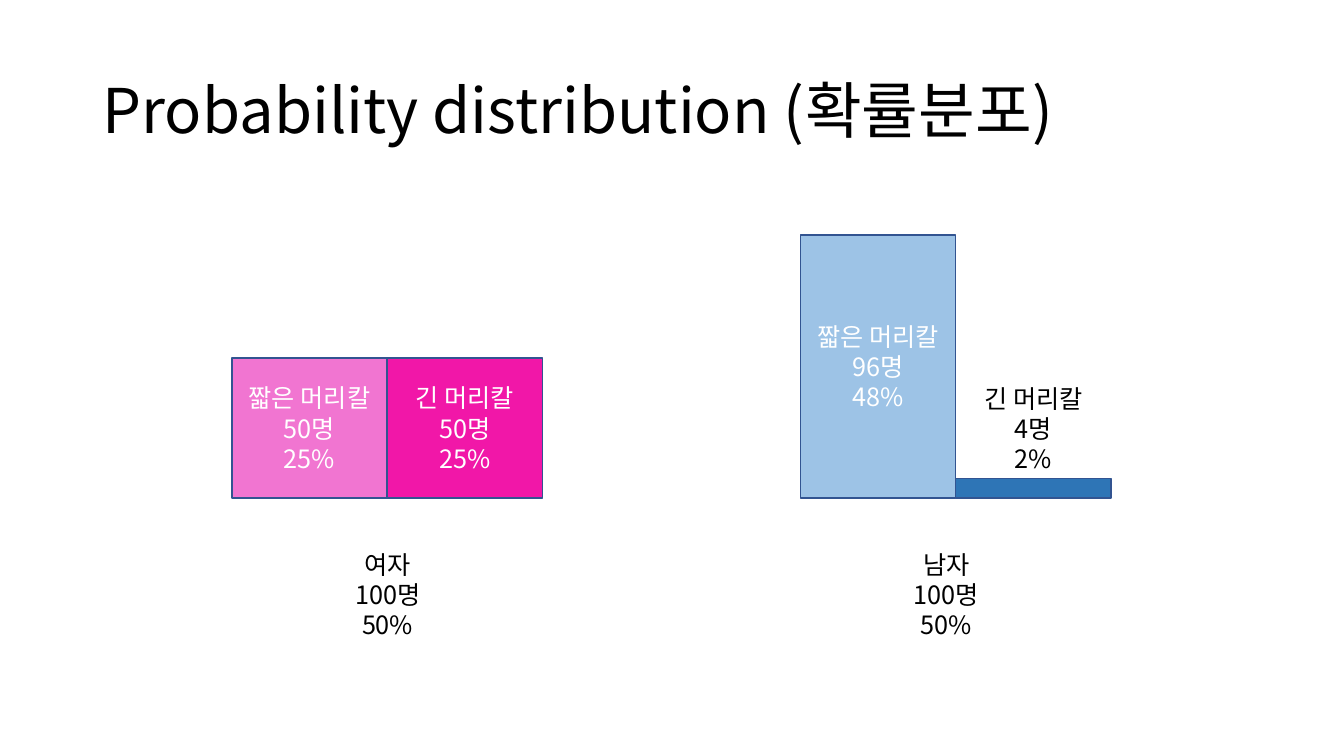
from lxml.etree import SubElement
from pptx import Presentation
from pptx.dml.color import RGBColor
from pptx.enum.shapes import MSO_SHAPE
from pptx.enum.text import MSO_ANCHOR, PP_ALIGN
from pptx.oxml.ns import qn
from pptx.util import Inches, Pt

FONT = "Noto Sans CJK KR"
COLORS = {
    "black": "000000", "white": "FFFFFF", "edge": "325491",
    "pink": "F175D1", "rose": "F117A8", "sky": "9DC3E6", "blue": "2E75B6",
}
BASE = 4.94
WIDTH = 1.54


def write(shape, text, color, size=18, align=PP_ALIGN.CENTER, anchor=MSO_ANCHOR.MIDDLE):
    frame = shape.text_frame
    frame.text = text
    frame.word_wrap = True
    frame.vertical_anchor = anchor
    for para in frame.paragraphs:
        para.alignment = align
        for run in para.runs:
            run.font.size = Pt(size)
            run.font.name = FONT
            run.font.color.rgb = RGBColor.from_string(COLORS[color])
            # Hangul takes its font from the East Asian slot
            SubElement(run._r.get_or_add_rPr(), qn("a:ea")).set("typeface", FONT)


deck = Presentation()
deck.slide_width, deck.slide_height = Inches(13.33), Inches(7.5)
slide = deck.slides.add_slide(deck.slide_layouts[6])
shapes = slide.shapes

title = shapes.add_textbox(Inches(0.92), Inches(0.4), Inches(11.5), Inches(1.45))
write(title, "Probability distribution (확률분포)", "black", 44, PP_ALIGN.LEFT)
title.text_frame.paragraphs[0].line_spacing = 0.9

# Each pair of bars: left edge, then height, fill and text of each bar
pairs = [
    (2.3, [(1.39, "pink", "짧은 머리칼\n50명\n25%"), (1.39, "rose", "긴 머리칼\n50명\n25%")]),
    (7.94, [(2.61, "sky", "짧은 머리칼\n96명\n48%"), (0.19, "blue", "")]),
]
for left, bars in pairs:
    for i, (height, fill, text) in enumerate(bars):
        bar = shapes.add_shape(
            MSO_SHAPE.RECTANGLE, Inches(left + i * WIDTH), Inches(BASE - height),
            Inches(WIDTH), Inches(height))
        bar.shadow.inherit = False
        bar.fill.solid()
        bar.fill.fore_color.rgb = RGBColor.from_string(COLORS[fill])
        bar.line.color.rgb = RGBColor.from_string(COLORS["edge"])
        bar.line.width = Pt(1)
        write(bar, text, "white")

labels = [
    (9.48, 3.75, WIDTH, "긴 머리칼\n4명\n2%"),
    (3.26, 5.4, 1.17, "여자\n100명\n50%"),
    (8.8, 5.4, 1.17, "남자\n100명\n50%"),
]
for left, top, width, text in labels:
    label = shapes.add_textbox(Inches(left), Inches(top), Inches(width), Inches(1.01))
    write(label, text, "black", anchor=MSO_ANCHOR.TOP)

deck.save("out.pptx")
